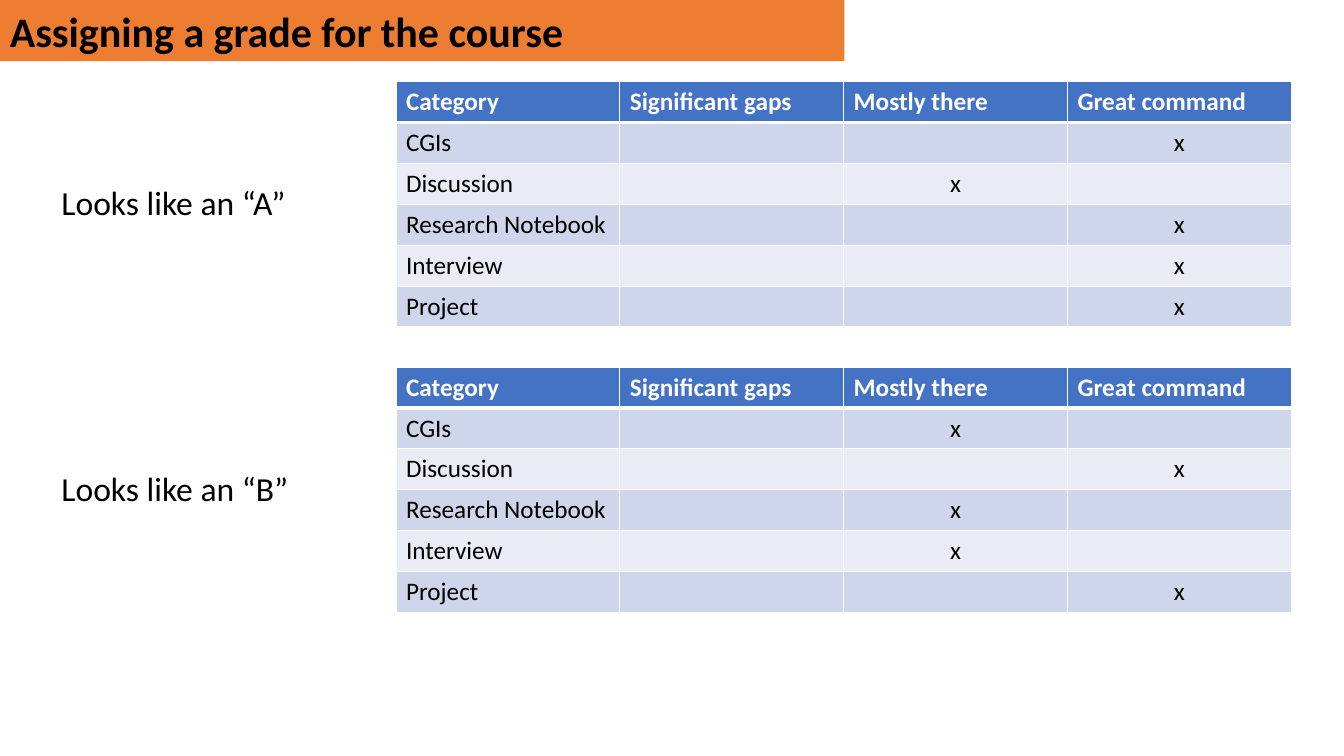
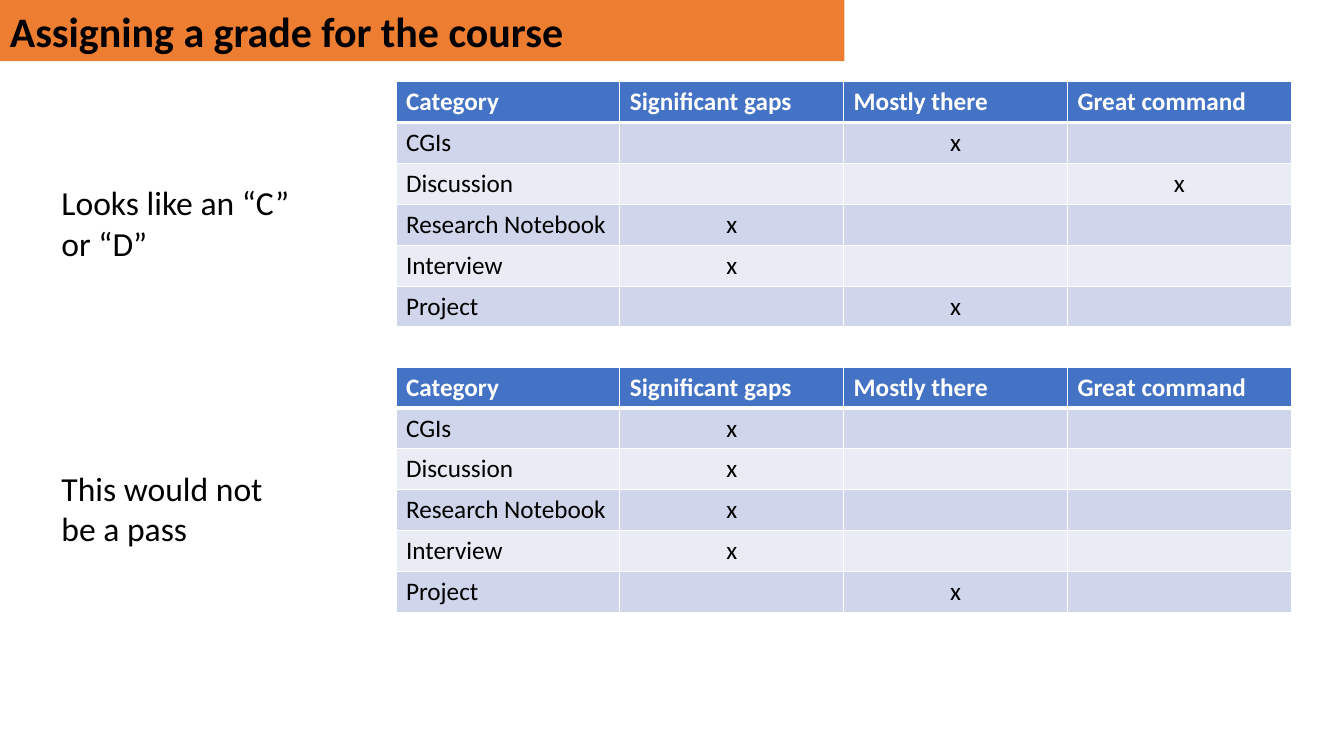
from lxml import etree
from pptx import Presentation
from pptx.dml.color import RGBColor
from pptx.enum import shapes, text
from pptx.oxml.ns import qn
from pptx.util import Cm, Pt

# Content: per slide, (label, column of the mark in each row)
TITLE = "Assigning a grade for the course"
HEADS = ["Category", "Significant gaps", "Mostly there", "Great command"]
ROWS = ["CGIs", "Discussion", "Research Notebook", "Interview", "Project"]
SLIDES = [
    [("Looks like an “A”", [3, 2, 3, 3, 3]),
     ("Looks like an “B”", [2, 3, 2, 2, 3])],
    [("Looks like an “C” or “D”", [2, 3, 1, 1, 2]),
     ("This would not be a pass", [1, 1, 1, 1, 2])],
]

# Shared look
BLACK = RGBColor(0x00, 0x00, 0x00)
WHITE = RGBColor(0xFF, 0xFF, 0xFF)
ORANGE = RGBColor(0xED, 0x7D, 0x31)
BLUE = RGBColor(0x44, 0x72, 0xC4)
BANDS = [RGBColor(0xCF, 0xD5, 0xEA), RGBColor(0xE9, 0xEB, 0xF5)]
BASE = {"name": "Calibri", "bold": False}
HEAD = {**BASE, "size": Pt(18), "bold": True}
BODY = {**BASE, "size": Pt(18)}
LABEL = {**BASE, "size": Pt(24)}
BANNER = {**BASE, "size": Pt(30), "bold": True}

# Layout in centimetres
LEFT, TOP, STEP = 9.98, 2.06, 7.19
COL_W, ROW_H = 5.64, 1.03
LABEL_X, LABEL_W, LABEL_H, DROP = 1.3, 6.38, 1.28, 2.41


def write(frame, words, style, color=BLACK, align=text.PP_ALIGN.LEFT):
    par = frame.paragraphs[0]
    par.alignment = align
    run = par.add_run()
    run.text = words
    for key, value in style.items():
        setattr(run.font, key, value)
    run.font.color.rgb = color


def edge(cell, side, width):
    props = cell._tc.get_or_add_tcPr()
    line = etree.SubElement(props, qn("a:ln" + side), w=str(Pt(width)))
    fill = etree.SubElement(line, qn("a:solidFill"))
    etree.SubElement(fill, qn("a:srgbClr"), val=str(WHITE))


def add_banner(slide):
    bar = slide.shapes.add_shape(
        shapes.MSO_SHAPE.RECTANGLE, 0, 0, Cm(21.28), Cm(1.54))
    bar.shadow.inherit = False
    bar.fill.solid()
    bar.fill.fore_color.rgb = ORANGE
    bar.line.fill.background()
    write(bar.text_frame, TITLE, BANNER)


def add_grid(slide, top, marks):
    count, wide = len(ROWS) + 1, len(HEADS)
    grid = slide.shapes.add_table(
        count, wide, Cm(LEFT), Cm(top),
        Cm(wide * COL_W), Cm(count * ROW_H)).table
    for col in grid.columns:
        col.width = Cm(COL_W)
    for r, row in enumerate(grid.rows):
        row.height = Cm(ROW_H)
        for c, cell in enumerate(row.cells):
            # Thick rule between the heading and the first row
            for side in "LRTB":
                thick = (r, side) in [(0, "B"), (1, "T")]
                edge(cell, side, 3 if thick else 1)
            cell.fill.solid()
            cell.fill.fore_color.rgb = BANDS[(r - 1) % 2] if r else BLUE
            if r == 0:
                write(cell.text_frame, HEADS[c], HEAD, WHITE)
            elif c == 0:
                write(cell.text_frame, ROWS[r - 1], BODY)
            elif c == marks[r - 1]:
                write(cell.text_frame, "x", BODY, align=text.PP_ALIGN.CENTER)


def add_label(slide, top, words):
    box = slide.shapes.add_textbox(
        Cm(LABEL_X), Cm(top), Cm(LABEL_W), Cm(LABEL_H))
    box.text_frame.word_wrap = True
    box.text_frame.auto_size = text.MSO_AUTO_SIZE.SHAPE_TO_FIT_TEXT
    write(box.text_frame, words, LABEL)


def main():
    deck = Presentation()
    deck.slide_width, deck.slide_height = Cm(33.87), Cm(19.05)
    for cases in SLIDES:
        slide = deck.slides.add_slide(deck.slide_layouts[6])
        add_banner(slide)
        for i, (words, marks) in enumerate(cases):
            top = TOP + i * STEP
            add_grid(slide, top, marks)
            add_label(slide, top + DROP, words)
    deck.save("out.pptx")


if __name__ == "__main__":
    main()
